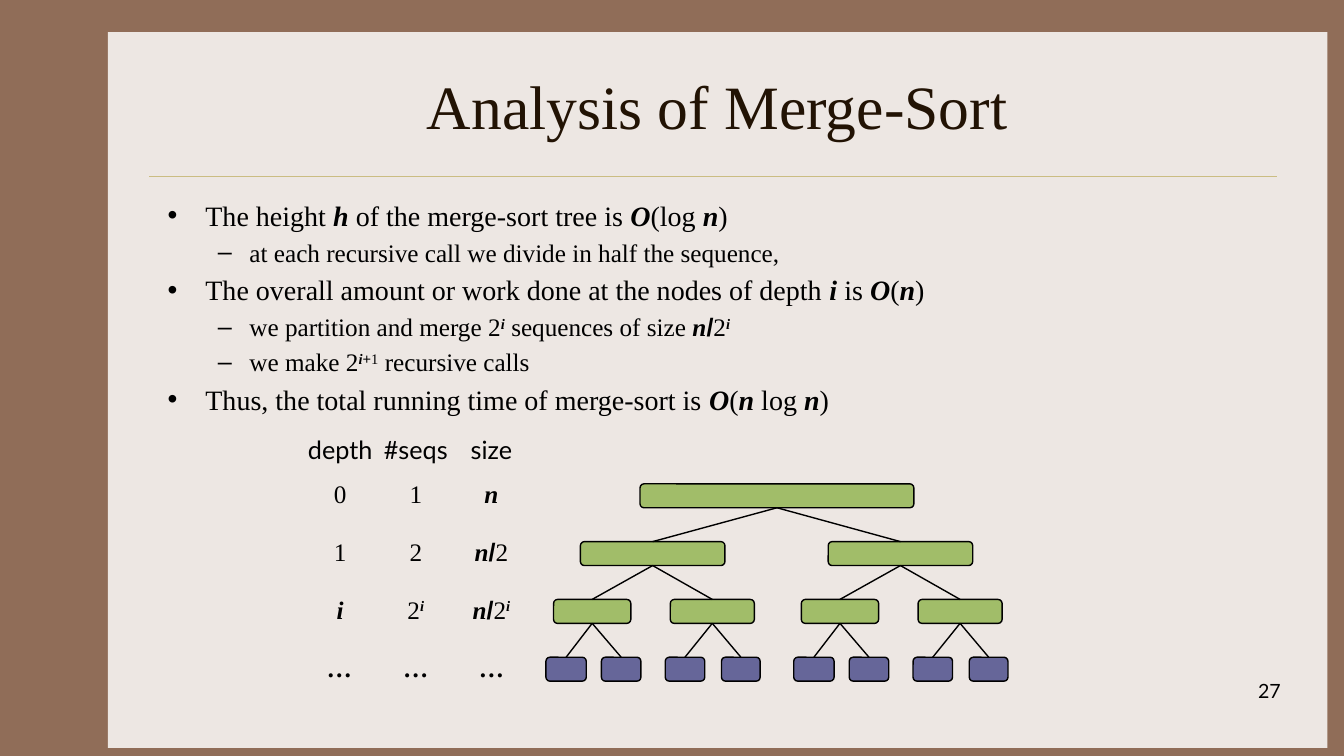
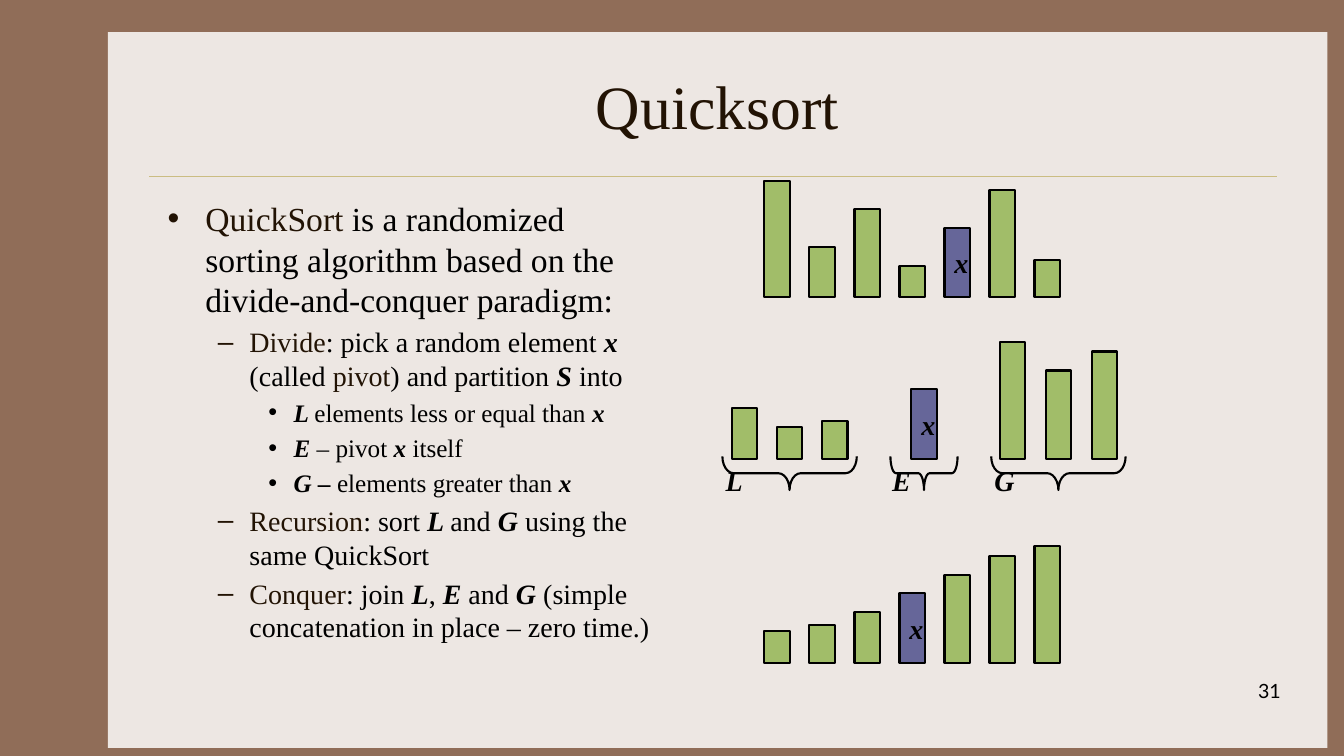
"""Build two lecture slides on merge-sort and quicksort, laid out on a 160 by 90 grid."""

from dataclasses import dataclass
from typing import NamedTuple

from lxml.etree import SubElement
from pptx import Presentation
from pptx.dml.color import RGBColor
from pptx.enum.shapes import MSO_CONNECTOR, MSO_SHAPE
from pptx.enum.text import MSO_ANCHOR, MSO_AUTO_SIZE, PP_ALIGN
from pptx.oxml.ns import qn
from pptx.util import Emu, Inches, Pt

COLUMNS, ROWS = 160, 90
GRID_UNIT = 76200

BROWN = RGBColor(0x90, 0x6D, 0x58)
PAPER = RGBColor(0xED, 0xE7, 0xE3)
GOLD = RGBColor(0xCB, 0xBD, 0x83)
DARK_BROWN = RGBColor(0x22, 0x13, 0x04)
BLACK = RGBColor(0x00, 0x00, 0x00)
GREEN = RGBColor(0xA1, 0xBD, 0x69)
PURPLE = RGBColor(0x66, 0x66, 0x99)

SERIF, SANS, LABEL_FONT = "Times New Roman", "Arial", "Lato"
NO_TABLE_STYLE = "{2D5ABB26-0587-4C30-8999-92F81FD0307C}"


class Box(NamedTuple):
    left: float
    top: float
    width: float
    height: float


@dataclass(frozen=True)
class Run:
    text: str
    bold: bool = False
    italic: bool = False
    superscript: bool = False
    font: str = SERIF
    color: RGBColor = BLACK


@dataclass(frozen=True)
class Bullet:
    level: int
    runs: tuple[Run, ...]


@dataclass(frozen=True)
class BarRow:
    left: float
    baseline: float
    pitch: float
    ranks: tuple[int, ...]


@dataclass(frozen=True)
class Brace:
    label: str
    left: float
    span: float


PANEL = Box(12.84, 3.84, 145.2, 85.2)
TITLE = Box(18.75, 5, 133.33, 15)
BODY = Box(18.75, 23, 133.33, 54)
NARROW_BODY = BODY._replace(width=61)
PAGE_NUMBER = Box(120.33, 80.2, 33.33, 6)
RULE_LEFT, RULE_RIGHT, RULE_TOP = 17.75, 152, 21


def plain(text: str) -> Run:
    return Run(text)


def symbol(text: str) -> Run:
    return Run(text, bold=True, italic=True)


def term(text: str) -> Run:
    return Run(text, color=DARK_BROWN)


def power(text: str) -> Run:
    return Run(text, bold=True, italic=True, superscript=True)


SLASH = Run("/", bold=True, font=SANS)

MERGE_SORT_BULLETS = (
    Bullet(0, (plain("The height "), symbol("h"), plain(" of the merge-sort tree is "),
               symbol("O"), plain("(log "), symbol("n"), plain(")"))),
    Bullet(1, (plain("at each recursive call we divide in half the sequence,"),)),
    Bullet(0, (plain("The overall amount or work done at the nodes of depth "), symbol("i "),
               plain("is "), symbol("O"), plain("("), symbol("n"), plain(")"))),
    Bullet(1, (plain("we partition and merge 2"), power("i"), plain(" sequences of size "),
               symbol("n"), SLASH, plain("2"), power("i"))),
    Bullet(1, (plain("we make 2"), power("i"), Run("+", superscript=True, font=SANS),
               Run("1", superscript=True), plain(" recursive calls"))),
    Bullet(0, (plain("Thus, the total running time of merge-sort is "), symbol("O"), plain("("),
               symbol("n"), plain(" log "), symbol("n"), plain(")"))),
)

QUICKSORT_BULLETS = (
    Bullet(0, (term("QuickSort "), plain("is a randomized sorting algorithm based on the "
                                         "divide-and-conquer paradigm:"))),
    Bullet(1, (term("Divide"), plain(": pick a random element "), symbol("x"), plain(" (called "),
               term("pivot"), plain(") and partition "), symbol("S"), plain(" into"))),
    Bullet(2, (symbol("L "), plain("elements less or equal than "), symbol("x"))),
    Bullet(2, (symbol("E "), plain("– pivot "), symbol("x "), plain("itself"))),
    Bullet(2, (symbol("G – "), plain("elements greater than "), symbol("x"))),
    Bullet(1, (term("Recursion"), plain(": sort "), symbol("L "), plain("and "), symbol("G "),
               plain("using the same QuickSort"))),
    Bullet(1, (term("Conquer"), plain(": join "), symbol("L"), plain(", "), symbol("E "),
               plain("and "), symbol("G "),
               plain("(simple concatenation in place – zero time.)"))),
)

DEPTH_TABLE = (
    tuple((Run(heading, font=LABEL_FONT),) for heading in ("depth", "#seqs", "size")),
    ((plain("0"),), (plain("1"),), (symbol("n"),)),
    ((plain("1"),), (plain("2"),), (symbol("n"), SLASH, plain("2"))),
    ((symbol("i"),), (plain("2"), power("i")), (symbol("n"), SLASH, plain("2"), power("i"))),
    ((symbol("…"),), (Run("…", bold=True),), (Run("…", bold=True),)),
)
TABLE_BOX = Box(36, 51.75, 27, 31.3)
TABLE_ROW_HEIGHTS = (3.7, 6.9, 6.9, 6.9, 6.9)

TREE_TOP, TREE_PITCH, NODE_HEIGHT = 57.6, 6.88, 2.85
HALF_SHIFT = 29.5
ROOT = (76.2, 32.6)
HALF_LEVELS = (
    ((69.1, 17.2),),
    ((65.9, 9.2), (79.8, 10)),
    ((65, 4.8), (71.6, 4.7), (79.2, 4.7), (85.9, 4.6)),
)

BAR_WIDTH = 3
BAR_HEIGHTS = (3.75, 4.5, 6, 8.25, 10.5, 12.75, 13.9)
PIVOT_RANK = 3
BAR_ROWS = (
    BarRow(91, 35.4, 5.36, (6, 2, 4, 0, 3, 5, 1)),
    BarRow(87.1, 54.6, 5.4, (2, 0, 1)),
    BarRow(108.5, 54.6, 5.4, (3,)),
    BarRow(119, 54.6, 5.5, (6, 4, 5)),
    BarRow(91, 78.9, 5.36, tuple(range(7))),
)
BRACES = (Brace("L", 92, 16), Brace("E", 108, 8), Brace("G", 124, 16))
BRACE_MIDDLE, BRACE_DEPTH = 56.33, 4


def units(value: float) -> Emu:
    return Emu(round(value * GRID_UNIT))


def place(shape, box: Box) -> None:
    shape.left, shape.top, shape.width, shape.height = map(units, box)


def add_text(paragraph, text: str, *, size: float, bold: bool = False, italic: bool = False,
             superscript: bool = False, font: str = SERIF, color: RGBColor = BLACK) -> None:
    run = paragraph.add_run()
    run.text = text
    run.font.size, run.font.name = Pt(size), font
    run.font.bold, run.font.italic = bold, italic
    run.font.color.rgb = color
    if superscript:
        run.font.element.set("baseline", "30000") if hasattr(run.font, "element") else \
            run._r.get_or_add_rPr().set("baseline", "30000")


def add_runs(paragraph, runs: tuple[Run, ...], size: float) -> None:
    for run in runs:
        add_text(paragraph, run.text, size=size, bold=run.bold, italic=run.italic,
                 superscript=run.superscript, font=run.font, color=run.color)


def add_box(slide, preset, box: Box, fill: RGBColor | None, line_width: float = 0):
    shape = slide.shapes.add_shape(preset, *map(units, box))
    shape.shadow.inherit = False
    if fill is None:
        shape.fill.background()
    else:
        shape.fill.solid()
        shape.fill.fore_color.rgb = fill
    if line_width:
        shape.line.color.rgb = BLACK
        shape.line.width = Pt(line_width)
    else:
        shape.line.fill.background()
    return shape


def add_line(slide, start: tuple[float, float], end: tuple[float, float],
             color: RGBColor, width: float):
    connector = slide.shapes.add_connector(MSO_CONNECTOR.STRAIGHT, *map(units, start + end))
    connector.line.color.rgb = color
    connector.line.width = Pt(width)
    SubElement(connector.element.spPr, qn("a:effectLst"))
    return connector


def label_shape(shape, text: str, anchor: MSO_ANCHOR) -> None:
    frame = shape.text_frame
    frame.word_wrap = False
    frame.vertical_anchor = anchor
    paragraph = frame.paragraphs[0]
    paragraph.alignment = PP_ALIGN.LEFT
    add_text(paragraph, text, size=20, bold=True, italic=True)


def decorate_master(master, slide) -> None:
    master.background.fill.solid()
    master.background.fill.fore_color.rgb = BROWN
    panel = add_box(slide, MSO_SHAPE.RECTANGLE, PANEL, PAPER)
    rule = add_line(slide, (RULE_LEFT, RULE_TOP), (RULE_RIGHT, RULE_TOP), GOLD, 0.25)
    for position, shape in enumerate((panel, rule), start=2):
        shape.element.find(".//" + qn("p:cNvPr")).set("id", str(20 + position))
        master.shapes.element.insert(position, shape.element)


def fill_slide(slide, title: str, bullets: tuple[Bullet, ...], sizes: tuple[int, ...],
               body_box: Box, number: int) -> None:
    place(slide.shapes.title, TITLE)
    add_text(slide.shapes.title.text_frame.paragraphs[0], title, size=44, color=DARK_BROWN)
    body = slide.placeholders[1]
    place(body, body_box)
    frame = body.text_frame
    frame.auto_size = MSO_AUTO_SIZE.NONE
    for index, bullet in enumerate(bullets):
        paragraph = frame.add_paragraph() if index else frame.paragraphs[0]
        paragraph.level = bullet.level
        if index == 0:
            paragraph.space_before = Pt(0)
        add_runs(paragraph, bullet.runs, sizes[bullet.level])
    page_number = slide.shapes.add_textbox(*map(units, PAGE_NUMBER))
    page_number.text_frame.word_wrap = True
    paragraph = page_number.text_frame.paragraphs[0]
    paragraph.alignment = PP_ALIGN.RIGHT
    add_text(paragraph, str(number), size=14, font=LABEL_FONT)


def add_tree(slide) -> None:
    halves = [[(left + shift, width) for shift in (0, HALF_SHIFT) for left, width in level]
              for level in HALF_LEVELS]
    parents = []
    for depth, level in enumerate([[ROOT], *halves]):
        top = TREE_TOP + depth * TREE_PITCH
        color = PURPLE if depth == len(halves) else GREEN
        nodes = [add_box(slide, MSO_SHAPE.ROUNDED_RECTANGLE, Box(left, top, width, NODE_HEIGHT),
                         color, 1) for left, width in level]
        for index, node in enumerate(nodes if parents else []):
            branch = add_line(slide, (0, 0), (0, 0), BLACK, 1)
            branch.begin_connect(parents[index // 2], 2)
            branch.end_connect(node, 0)
        parents = nodes


def add_depth_table(slide) -> None:
    frame = slide.shapes.add_table(len(DEPTH_TABLE), len(DEPTH_TABLE[0]), *map(units, TABLE_BOX))
    table = frame.table
    table.first_row = table.horz_banding = False
    frame.element.find(".//" + qn("a:tableStyleId")).text = NO_TABLE_STYLE
    for row_index, row in enumerate(DEPTH_TABLE):
        table.rows[row_index].height = units(TABLE_ROW_HEIGHTS[row_index])
        for column_index, runs in enumerate(row):
            cell = table.cell(row_index, column_index)
            cell.fill.background()
            cell.margin_left = cell.margin_right = cell.margin_top = cell.margin_bottom = 0
            cell.vertical_anchor = MSO_ANCHOR.MIDDLE if row_index else MSO_ANCHOR.TOP
            paragraph = cell.text_frame.paragraphs[0]
            paragraph.alignment = PP_ALIGN.CENTER
            add_runs(paragraph, runs, 18)


def add_bar_row(slide, bars: BarRow) -> None:
    for index, rank in enumerate(bars.ranks):
        height = BAR_HEIGHTS[rank]
        box = Box(bars.left + index * bars.pitch, bars.baseline - height, BAR_WIDTH, height)
        is_pivot = rank == PIVOT_RANK
        bar = add_box(slide, MSO_SHAPE.RECTANGLE, box, PURPLE if is_pivot else GREEN, 1.5)
        if is_pivot:
            label_shape(bar, "x", MSO_ANCHOR.MIDDLE)


def add_brace(slide, brace: Brace) -> None:
    box = Box(brace.left, BRACE_MIDDLE - brace.span / 2, BRACE_DEPTH, brace.span)
    shape = add_box(slide, MSO_SHAPE.LEFT_BRACE, box, None, 1.5)
    shape.rotation = 270
    shape.adjustments[0] = brace.span / 48
    label_shape(shape, brace.label, MSO_ANCHOR.TOP)
    frame = shape.text_frame
    frame.margin_left, frame.margin_right = Inches(0.1), Inches(0.6)
    frame.margin_top = frame.margin_bottom = 0
    shape.element.find(".//" + qn("a:bodyPr")).set("vert", "eaVert")


def main() -> None:
    presentation = Presentation()
    presentation.slide_width, presentation.slide_height = units(COLUMNS), units(ROWS)
    layout = presentation.slide_layouts[1]

    merge_sort = presentation.slides.add_slide(layout)
    decorate_master(presentation.slide_master, merge_sort)
    fill_slide(merge_sort, "Analysis of Merge-Sort", MERGE_SORT_BULLETS, (20, 18), BODY, 27)
    add_tree(merge_sort)
    add_depth_table(merge_sort)

    quicksort = presentation.slides.add_slide(layout)
    fill_slide(quicksort, "Quicksort", QUICKSORT_BULLETS, (24, 20, 18), NARROW_BODY, 31)
    for bars in BAR_ROWS:
        add_bar_row(quicksort, bars)
    for brace in BRACES:
        add_brace(quicksort, brace)

    presentation.save("out.pptx")


if __name__ == "__main__":
    main()
